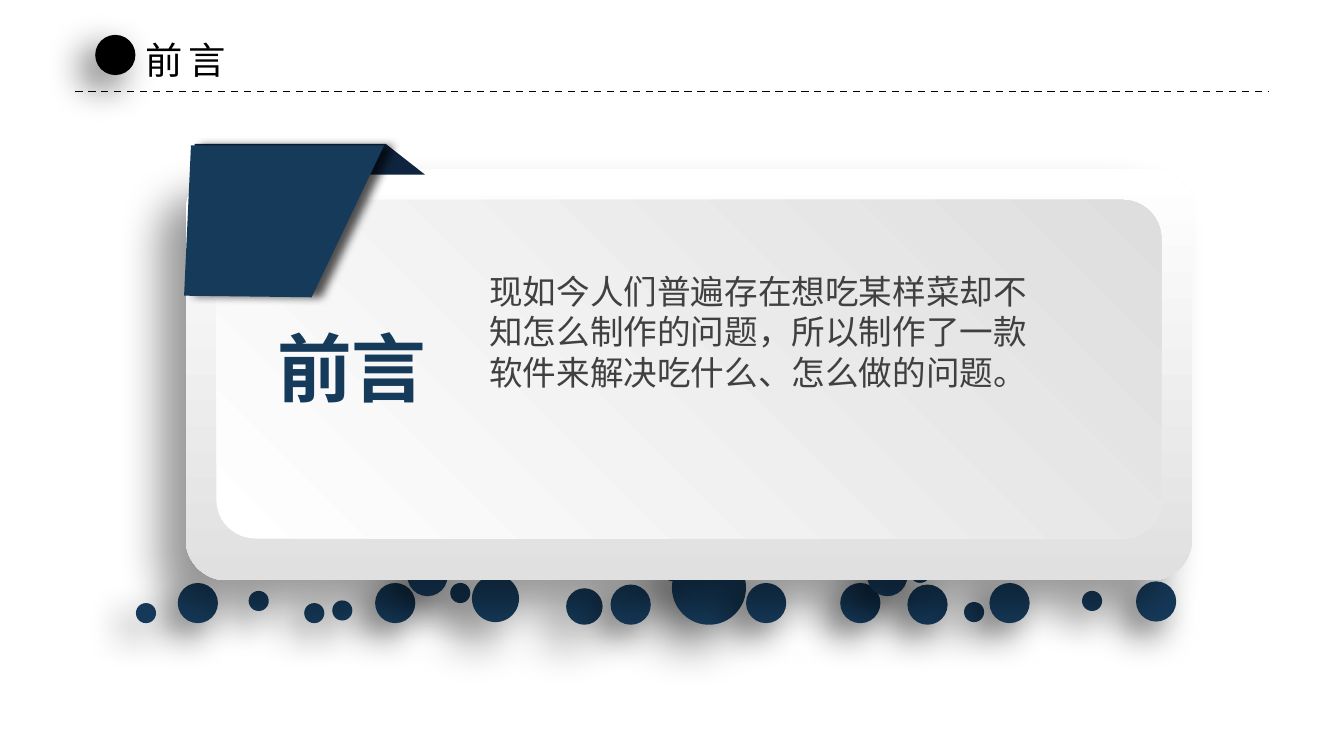
from collections import namedtuple

from lxml import etree
from pptx import Presentation
from pptx.dml.color import RGBColor
from pptx.enum import dml, shapes, text
from pptx.oxml import ns
from pptx.util import Cm, Pt

NAVY = RGBColor(0x16, 0x3A, 0x5A)
DARK_NAVY = RGBColor(0x0F, 0x24, 0x3E)
BLACK = RGBColor(0, 0, 0)
WHITE = RGBColor(255, 255, 255)
CHARCOAL = RGBColor(0x40, 0x40, 0x40)
RIM_GREY = RGBColor(0xE0, 0xE0, 0xE0)
FACE_GREY = RGBColor(0xDD, 0xDE, 0xDD)

Box = namedtuple("Box", "left top width height")
Shadow = namedtuple("Shadow", "alpha blur distance angle")

DOT_SHADOW = Shadow(60, 20, 10, 135)
BIG_DOT_SHADOW = Shadow(50, 25, 15, 135)
CARD_SHADOW = Shadow(40, 22, 20, 135)
RIBBON_SHADOW = Shadow(67, 5, 5, 0)

SMALL, MEDIUM = 0.38, 0.76
DOTS = [
    (10.13, 0, 1.4), (13.31, 0.61, MEDIUM), (4.52, 0.61, MEDIUM),
    (3.71, 0.94, SMALL), (14.58, 0.64, MEDIUM), (5.94, 0.61, SMALL),
    (15.65, 0.97, SMALL), (8.13, 0.71, 0.69), (16.13, 0.61, MEDIUM),
    (8.97, 0.64, MEDIUM), (17.88, 0.76, SMALL), (13.82, 0.1, MEDIUM),
    (3.18, 0.99, SMALL), (9.96, 0.2, SMALL), (6.35, 0.46, 0.89),
    (11.53, 0.61, MEDIUM), (0.79, 0.61, MEDIUM), (0, 0.99, SMALL),
    (5.13, 0.1, MEDIUM), (2.13, 0.76, SMALL), (14.63, 0.23, SMALL),
    (18.9, 0.58, MEDIUM),
]


def within(box, left, top, width, height):
    return Box(box.left + left, box.top + top, width, height)


def lengths(box):
    return [Cm(value) for value in box]


def apply(target, values):
    for name, value in values.items():
        setattr(target, name, value)


def cast_shadow(shape, shadow):
    shape.shadow.inherit = False
    if shadow is None:
        return
    effects = shape._element.spPr.find(ns.qn("a:effectLst"))
    outer = etree.SubElement(
        effects, ns.qn("a:outerShdw"), blurRad=str(Pt(shadow.blur)),
        dist=str(Pt(shadow.distance)), dir=str(shadow.angle * 60000),
        algn="ctr", rotWithShape="0")
    black = etree.SubElement(outer, ns.qn("a:srgbClr"), val=str(BLACK))
    etree.SubElement(black, ns.qn("a:alpha"), val=str(shadow.alpha * 1000))


def paint(shape, color, shadow=None):
    shape.fill.solid()
    shape.fill.fore_color.rgb = color
    shape.line.fill.background()
    cast_shadow(shape, shadow)


def add_dot(slide, box, color, shadow):
    dot = slide.shapes.add_shape(shapes.MSO_SHAPE.OVAL, *lengths(box))
    paint(dot, color, shadow)


def add_panel(group, box, rounding, end_color, angle, shadow=None):
    panel = group.shapes.add_shape(
        shapes.MSO_SHAPE.ROUNDED_RECTANGLE, *lengths(box))
    panel.adjustments[0] = rounding
    panel.fill.gradient()
    panel.fill.gradient_angle = angle
    for stop, color in zip(panel.fill.gradient_stops, (WHITE, end_color)):
        stop.color.rgb = color
    panel.line.fill.background()
    cast_shadow(panel, shadow)


def add_words(slide, box, words, color, font, frame=None, paragraph=None,
              spacing=None):
    area = slide.shapes.add_textbox(*lengths(box)).text_frame
    apply(area, {"word_wrap": True,
                 "auto_size": text.MSO_AUTO_SIZE.SHAPE_TO_FIT_TEXT,
                 **(frame or {})})
    line = area.paragraphs[0]
    apply(line, paragraph or {})
    run = line.add_run()
    run.text = words
    apply(run.font, font)
    run.font.color.rgb = color
    properties = run._r.get_or_add_rPr()
    etree.SubElement(properties, ns.qn("a:ea"), typeface=font["name"])
    if spacing:
        properties.set("spc", str(spacing * 100))


def add_polygon(slide, box, points, color, shadow=None):
    corners = [(Cm(box.left + x), Cm(box.top + y)) for x, y in points]
    builder = slide.shapes.build_freeform(*corners[0])
    builder.add_line_segments(corners[1:], close=True)
    paint(builder.convert_to_shape(), color, shadow)


def add_dot_band(slide, box):
    for left, top, size in DOTS:
        shadow = (DOT_SHADOW if size in (SMALL, MEDIUM) else BIG_DOT_SHADOW)
        add_dot(slide, within(box, left, top, size, size), NAVY, shadow)


def add_card(slide, box):
    group = slide.shapes.add_group_shape()
    inset = 0.58
    add_panel(group, box, 0.1, RIM_GREY, 270, CARD_SHADOW)
    add_panel(group, within(box, inset, inset, box.width - 2 * inset, 6.4),
              0.115, FACE_GREY, 45)
    add_words(slide, within(box, 0.81, 3.12, 4.65, 1.55), "前言", NAVY,
              {"name": "Noto Sans CJK SC", "size": Pt(40), "bold": True},
              {"margin_left": Cm(0.18), "margin_right": Cm(0.18),
               "margin_top": Cm(0.1), "margin_bottom": Cm(0.1)},
              {"alignment": text.PP_ALIGN.CENTER, "line_spacing": 0.8})


def add_header(slide, box):
    rule_top = Cm(box.top + box.height)
    rule = slide.shapes.add_connector(
        shapes.MSO_CONNECTOR.STRAIGHT, Cm(box.left), rule_top,
        Cm(box.left + box.width), rule_top)
    apply(rule.line, {"width": Pt(1),
                      "dash_style": dml.MSO_LINE_DASH_STYLE.DASH})
    rule.line.color.rgb = BLACK
    etree.SubElement(rule._element.spPr, ns.qn("a:effectLst"))
    add_dot(slide, within(box, 0.38, 0.08, MEDIUM, MEDIUM), BLACK, DOT_SHADOW)
    add_words(slide, within(box, 1.09, 0, 2.16, 1.12), "前言", BLACK,
              {"name": "Noto Sans CJK SC", "size": Pt(20)},
              {"word_wrap": False}, spacing=3)


def add_body(slide, box):
    add_words(slide, box,
              "现如今人们普遍存在想吃某样菜却不知怎么制作的问题，"
              "所以制作了一款软件来解决吃什么、怎么做的问题。",
              CHARCOAL, {"name": "Calibri", "size": Pt(18)})


def add_ribbon(slide, box):
    add_polygon(slide, box, [(0.2, 0), (3.81, 0), (box.width, 0.58),
                             (0.2, 0.58)], DARK_NAVY)
    add_polygon(slide, box, [(0.13, 0.03), (3.78, 0.03), (2.41, box.height),
                             (0, 2.87)], NAVY, RIBBON_SHADOW)


def main():
    deck = Presentation()
    apply(deck, {"slide_width": Cm(25.4), "slide_height": Cm(14.29)})
    slide = deck.slides.add_slide(deck.slide_layouts[6])
    card = Box(3.51, 3.2, 19.02, 7.77)
    add_dot_band(slide, Box(2.57, 10.41, 19.66, 1.4))
    add_card(slide, card)
    add_header(slide, Box(1.42, 0.58, 22.56, 1.15))
    add_body(slide, within(card, 5.49, 1.8, 11.23, 2.57))
    add_ribbon(slide, within(card, -0.03, -0.48, 4.55, 2.9))
    deck.save("out.pptx")


if __name__ == "__main__":
    main()
